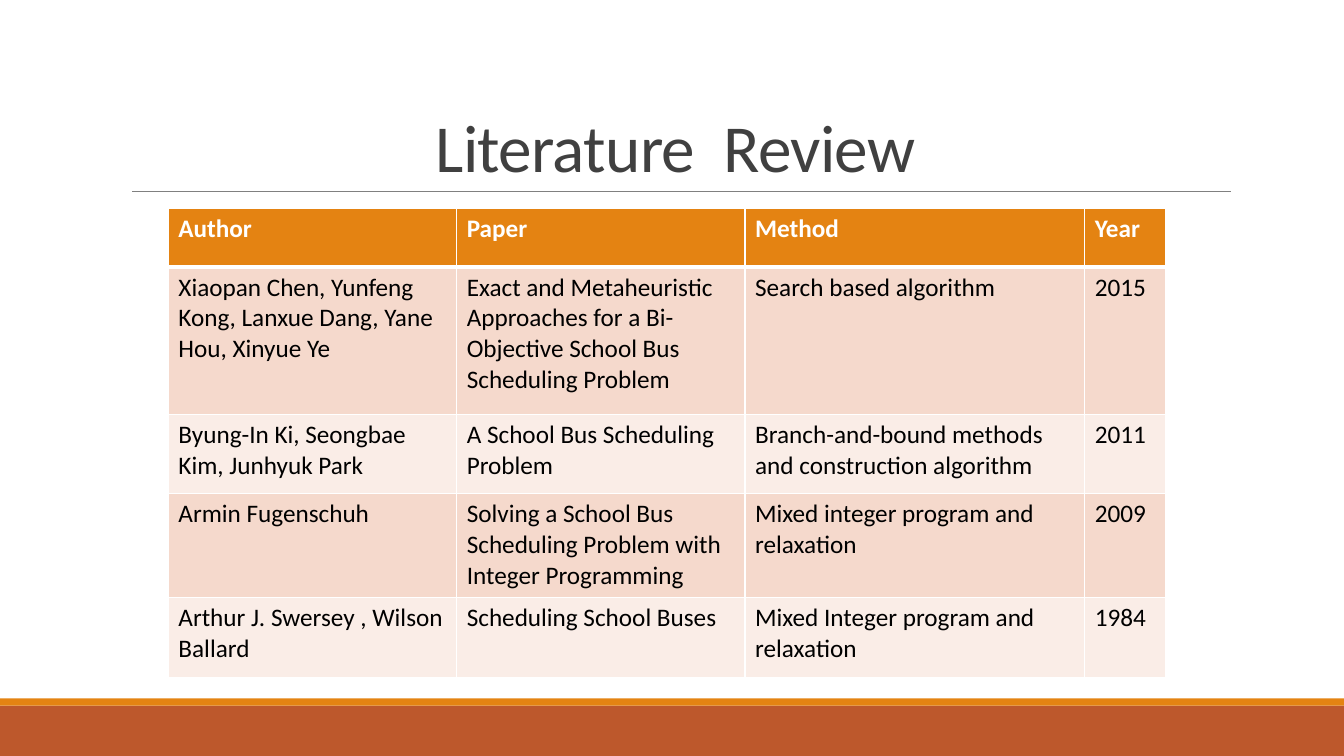
from dataclasses import dataclass

from lxml import etree
from pptx import Presentation
from pptx import util as u
from pptx.dml.color import RGBColor
from pptx.enum import shapes, text
from pptx.oxml import ns

PX = 9144  # EMU per px, 100 px to the inch
WIDTH, HEIGHT = 1333, 750


@dataclass(frozen=True)
class Theme:
    font: str = "Calibri"
    title_size: int = 48
    table_size: int = 18
    title: str = "404040"
    ink: str = "000000"
    white: str = "FFFFFF"
    rule: str = "808080"
    accent: str = "E48312"
    footer: str = "BD582C"
    bands: tuple = ("F5D9CC", "FAEDE7")


PAPERS = [
    ("Author", "Paper", "Method", "Year"),
    ("Xiaopan Chen, Yunfeng Kong, Lanxue Dang, Yane Hou, Xinyue Ye",
     "Exact and Metaheuristic Approaches for a Bi-Objective School Bus Scheduling Problem",
     "Search based algorithm", "2015"),
    ("Byung-In Ki, Seongbae Kim, Junhyuk Park",
     "A School Bus Scheduling Problem",
     "Branch-and-bound methods and construction algorithm", "2011"),
    ("Armin Fugenschuh",
     "Solving a School Bus Scheduling Problem with Integer Programming",
     "Mixed integer program and relaxation", "2009"),
    ("Arthur J. Swersey , Wilson Ballard",
     "Scheduling School Buses",
     "Mixed Integer program and relaxation", "1984"),
]
COLUMN_WIDTHS = (286, 286, 337, 80)
ROW_HEIGHTS = (58, 146, 79, 103, 79)


def px(*lengths):
    return [u.Emu(length * PX) for length in lengths]


def rgb(colour):
    return RGBColor.from_string(colour)


class SlideBuilder:
    def __init__(self, deck, theme):
        self.theme = theme
        self.page = deck.slides.add_slide(deck.slide_layouts[5])

    def add_span(self, para, words, size, colour, bold=False):
        span = para.add_run()
        span.text = words
        span.font.name = self.theme.font
        span.font.size = u.Pt(size)
        span.font.bold = bold
        span.font.color.rgb = rgb(colour)
        return span

    def bar(self, left, top, width, height, colour):
        box = self.page.shapes.add_shape(
            shapes.MSO_SHAPE.RECTANGLE, *px(left, top, width, height))
        box.shadow.inherit = False
        box.fill.solid()
        box.fill.fore_color.rgb = rgb(colour)
        box.line.fill.background()

    def rule(self, left, right, y):
        line = self.page.shapes.add_connector(
            shapes.MSO_CONNECTOR.STRAIGHT, *px(left, y, right, y))
        line.line.color.rgb = rgb(self.theme.rule)
        line.line.width = u.Pt(0.5)
        etree.SubElement(line._element.spPr, ns.qn("a:effectLst"))

    def title(self, words, left, top, width, height):
        box = self.page.shapes.title
        box.left, box.top, box.width, box.height = px(left, top, width, height)
        frame = box.text_frame
        frame.word_wrap = True
        frame.auto_size = text.MSO_AUTO_SIZE.NONE
        frame.vertical_anchor = text.MSO_ANCHOR.BOTTOM
        para = frame.paragraphs[0]
        para.alignment = text.PP_ALIGN.CENTER
        para.line_spacing = 0.85
        span = self.add_span(para, words, self.theme.title_size, self.theme.title)
        span.font._element.set("spc", "-50")

    def border(self, cell, side, points):
        """Draw one white cell edge; side is L, R, T or B."""
        line = etree.SubElement(cell._tc.get_or_add_tcPr(), ns.qn(f"a:ln{side}"),
                                w=str(u.Pt(points)))
        fill = etree.SubElement(line, ns.qn("a:solidFill"))
        etree.SubElement(fill, ns.qn("a:srgbClr"), val=self.theme.white)

    def table(self, rows, left, top, widths, heights):
        theme = self.theme
        grid = self.page.shapes.add_table(
            len(rows), len(widths),
            *px(left, top, sum(widths), sum(heights))).table
        for column, width in zip(grid.columns, px(*widths)):
            column.width = width
        for row, height in zip(grid.rows, px(*heights)):
            row.height = height
        for r, row in enumerate(rows):
            header = r == 0
            fill = theme.accent if header else theme.bands[(r - 1) % 2]
            ink = theme.white if header else theme.ink
            edges = {"L": 1, "R": 1, "T": 3 if r == 1 else 1, "B": 3 if header else 1}
            for c, words in enumerate(row):
                cell = grid.cell(r, c)
                for side, points in edges.items():
                    self.border(cell, side, points)
                cell.fill.solid()
                cell.fill.fore_color.rgb = rgb(fill)
                self.add_span(cell.text_frame.paragraphs[0], words,
                              theme.table_size, ink, bold=header)


def main():
    deck = Presentation()
    deck.slide_width, deck.slide_height = px(WIDTH, HEIGHT)
    theme = Theme()
    slide = SlideBuilder(deck, theme)
    slide.bar(0, 700, WIDTH, 50, theme.footer)
    slide.bar(0, 693, WIDTH, 7, theme.accent)
    slide.rule(131, 1221, 190)
    slide.title("Literature  Review", 120, 31, 1100, 159)
    slide.table(PAPERS, 167, 207, COLUMN_WIDTHS, ROW_HEIGHTS)
    deck.save("out.pptx")


if __name__ == "__main__":
    main()
